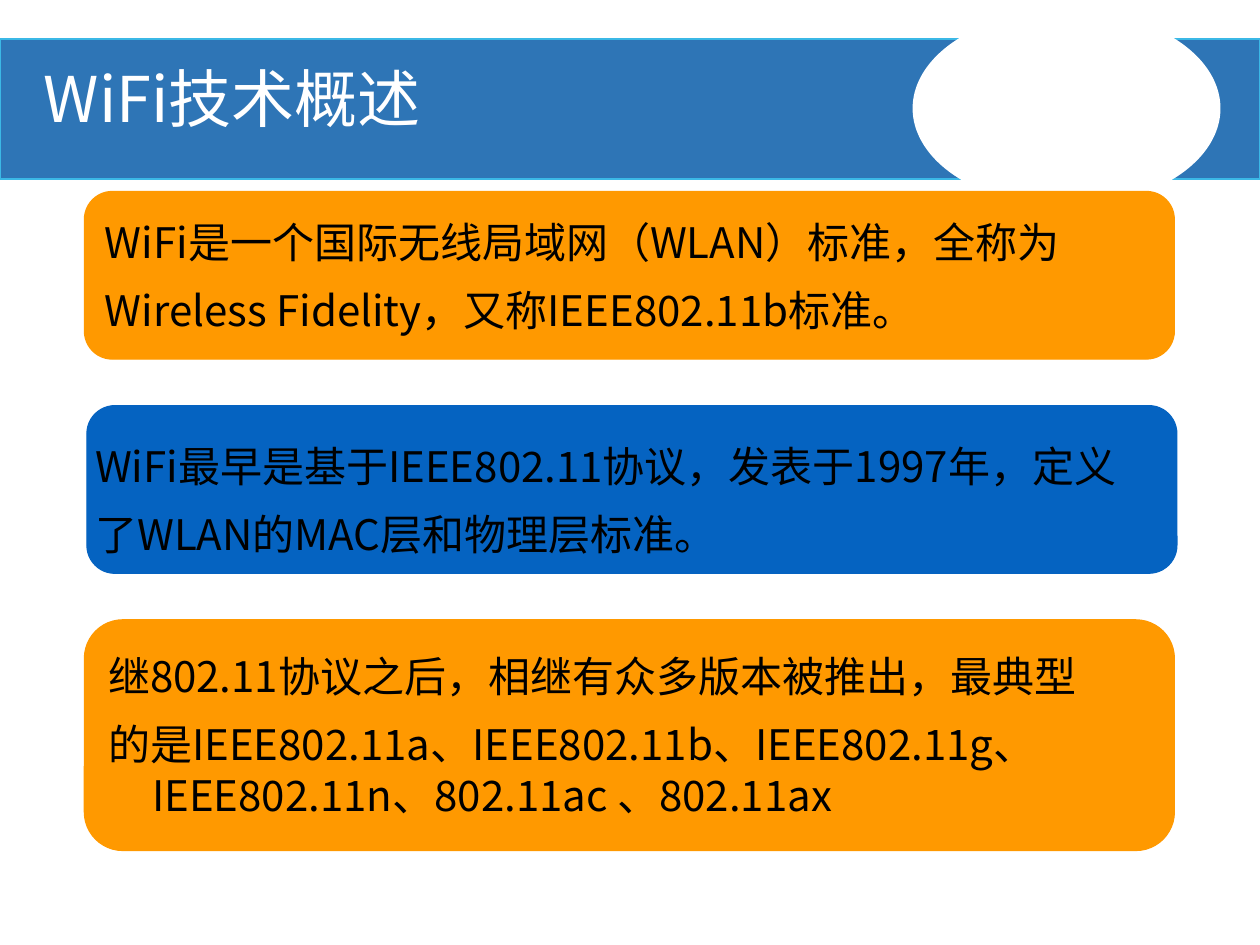
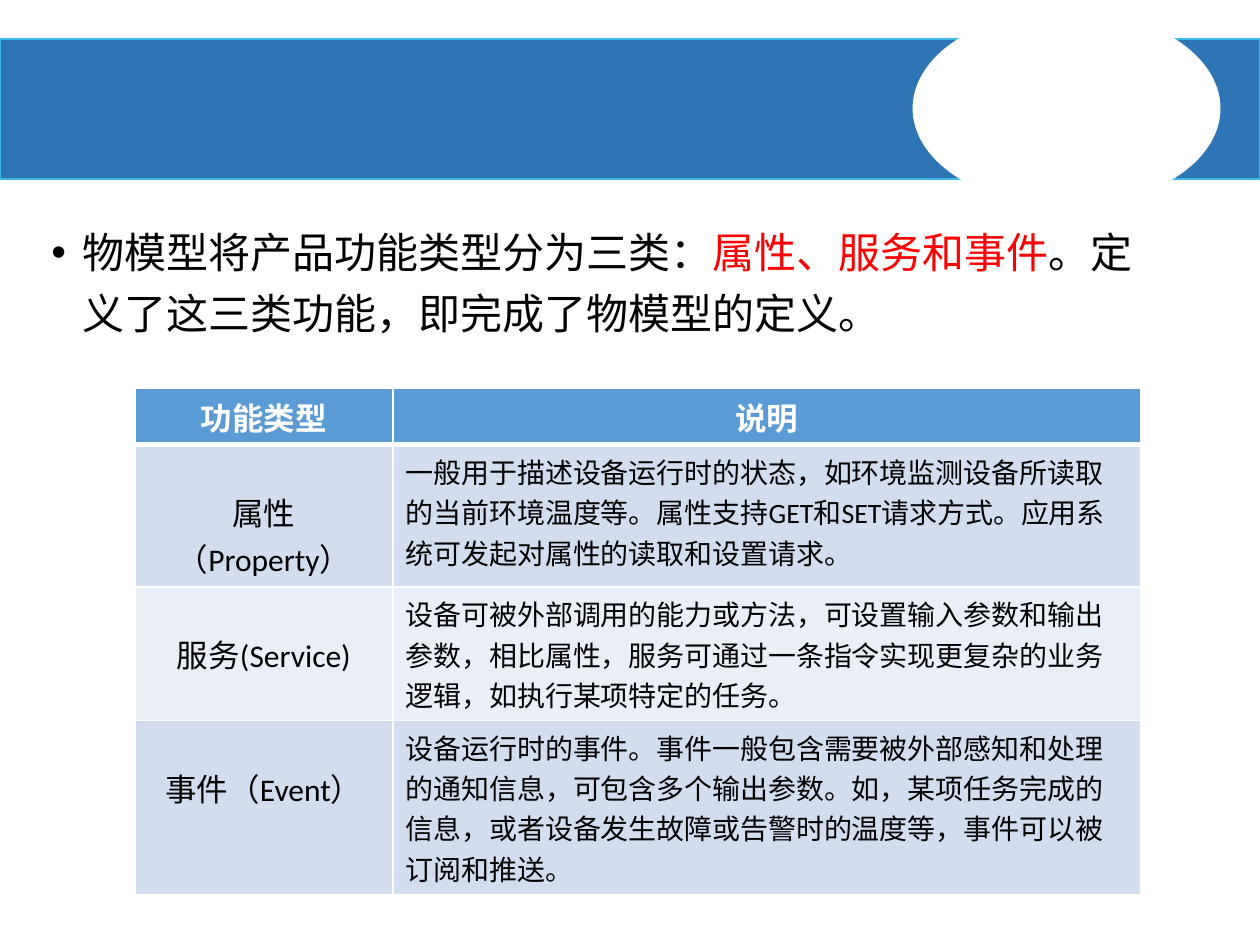
from lxml import etree
from pptx import Presentation
from pptx.dml.color import RGBColor
from pptx.enum.shapes import MSO_SHAPE
from pptx.enum.text import MSO_ANCHOR, PP_ALIGN
from pptx.oxml.ns import qn
from pptx.util import Inches, Pt

COLORS = {
    "band": "2E75B6", "band_line": "3BB8E6", "white": "FFFFFF", "black": "000000",
    "orange": "FF9900", "blue": "0563C1", "red": "FF0000",
    "header": "5B9BD5", "row_dark": "D2DEEF", "row_light": "EAEFF7",
}
CJK_FONT = "Noto Sans CJK SC"
TABLE_FONT = "Calibri"
CARD_GAP = 0.37

CARDS = [
    ("orange", 0.67, 1.33, ["WiFi是一个国际无线局域网（WLAN）标准，全称为",
                            "Wireless Fidelity，又称IEEE802.11b标准。"]),
    ("blue", 0.69, 1.33, ["WiFi最早是基于IEEE802.11协议，发表于1997年，定义",
                          "了WLAN的MAC层和物理层标准。"]),
    ("orange", 0.67, 1.83, ["继802.11协议之后，相继有众多版本被推出，最典型",
                            "的是IEEE802.11a、IEEE802.11b、IEEE802.11g、",
                            "IEEE802.11n、802.11ac 、802.11ax"]),
]
BODY_RUNS = [
    ("物模型将产品功能类型分为三类：", "black"),
    ("属性、服务和事件", "red"),
    ("。定义了这三类功能，即完成了物模型的定义。", "black"),
]
TABLE_HEADER = ("功能类型", "说明")
FUNCTION_TYPES = [
    ("属性（Property）",
     "一般用于描述设备运行时的状态，如环境监测设备所读取的当前环境温度等。"
     "属性支持GET和SET请求方式。应用系统可发起对属性的读取和设置请求。"),
    ("服务(Service)",
     "设备可被外部调用的能力或方法，可设置输入参数和输出参数，相比属性，"
     "服务可通过一条指令实现更复杂的业务逻辑，如执行某项特定的任务。"),
    ("事件（Event）",
     "设备运行时的事件。事件一般包含需要被外部感知和处理的通知信息，"
     "可包含多个输出参数。如，某项任务完成的信息，"
     "或者设备发生故障或告警时的温度等，事件可以被订阅和推送。"),
]
COLUMN_WIDTHS = (2.05, 5.93)
ROW_HEIGHTS = (0.45, 1.13, 1.06, 1.38)


def rgb(name):
    return RGBColor.from_string(COLORS[name])


def format_run(run, size, color="black", font=CJK_FONT, bold=False):
    run.font.size = Pt(size)
    run.font.name = font
    run.font.bold = bold
    run.font.color.rgb = rgb(color)
    east_asian = etree.SubElement(run._r.get_or_add_rPr(), qn("a:ea"))
    east_asian.set("typeface", CJK_FONT)


def add_filled_shape(slide, kind, box, fill, line, line_width):
    shape = slide.shapes.add_shape(kind, *map(Inches, box))
    shape.shadow.inherit = False
    shape.fill.solid()
    shape.fill.fore_color.rgb = rgb(fill)
    shape.line.color.rgb = rgb(line)
    shape.line.width = Pt(line_width)
    return shape


def add_text_frame(slide, box):
    text_frame = slide.shapes.add_textbox(*map(Inches, box)).text_frame
    text_frame.word_wrap = True
    return text_frame


def add_banded_slide(presentation):
    slide = presentation.slides.add_slide(presentation.slide_layouts[6])
    add_filled_shape(slide, MSO_SHAPE.RECTANGLE, (0, 0.31, 10, 1.11), "band", "band_line", 1)
    add_filled_shape(slide, MSO_SHAPE.OVAL, (7.25, 0.09, 2.43, 1.54), "white", "white", 1)
    return slide


def add_title(slide, text):
    paragraph = add_text_frame(slide, (0.25, 0.49, 6.57, 0.64)).paragraphs[0]
    paragraph.text = text
    paragraph.line_spacing = 0.9
    format_run(paragraph.runs[0], 36, "white")


def add_card(slide, color, left, top, height, lines):
    card = add_filled_shape(slide, MSO_SHAPE.ROUNDED_RECTANGLE,
                            (left, top, 8.65, height), color, color, 0.75)
    text_frame = card.text_frame
    text_frame.word_wrap = False
    text_frame.vertical_anchor = MSO_ANCHOR.MIDDLE
    if color == "blue":
        text_frame.vertical_anchor = MSO_ANCHOR.BOTTOM
        text_frame.margin_left = text_frame.margin_right = 0
    text_frame.text = "\n".join(lines)
    for index, paragraph in enumerate(text_frame.paragraphs):
        paragraph.alignment = PP_ALIGN.LEFT
        if index == 1:
            paragraph.space_before = Pt(10)
        elif index == 2:
            paragraph._p.get_or_add_pPr().set("marL", str(Inches(0.35)))
        format_run(paragraph.runs[0], 24)


def add_bullet_text(slide, box, runs):
    paragraph = add_text_frame(slide, box).paragraphs[0]
    properties = paragraph._p.get_or_add_pPr()
    properties.set("marL", str(Inches(0.25)))
    properties.set("indent", str(-Inches(0.25)))
    etree.SubElement(properties, qn("a:buFont")).set("typeface", "Arial")
    etree.SubElement(properties, qn("a:buChar")).set("char", "•")
    paragraph.line_spacing = 1.2
    for text, color in runs:
        run = paragraph.add_run()
        run.text = text
        format_run(run, 24, color)


def set_borders(cell, widths):
    """Draw white borders; widths maps the sides L, R, T, B to points."""
    properties = cell._tc.get_or_add_tcPr()
    for side, width in widths.items():
        line = etree.SubElement(properties, qn(f"a:ln{side}"), w=str(Pt(width)))
        solid = etree.SubElement(line, qn("a:solidFill"))
        etree.SubElement(solid, qn("a:srgbClr"), val=COLORS["white"])


def fill_cell(cell, text, fill, size, color="black", bold=False, centered=True):
    cell.fill.solid()
    cell.fill.fore_color.rgb = rgb(fill)
    paragraph = cell.text_frame.paragraphs[0]
    paragraph.text = text
    paragraph.alignment = PP_ALIGN.CENTER if centered else PP_ALIGN.LEFT
    format_run(paragraph.runs[0], size, color, TABLE_FONT, bold)


def add_function_table(slide, left, top):
    frame = slide.shapes.add_table(
        len(ROW_HEIGHTS), len(COLUMN_WIDTHS), Inches(left), Inches(top),
        Inches(sum(COLUMN_WIDTHS)), Inches(sum(ROW_HEIGHTS)))
    table = frame.table
    for column, width in zip(table.columns, COLUMN_WIDTHS):
        column.width = Inches(width)
    for index, (row, height) in enumerate(zip(table.rows, ROW_HEIGHTS)):
        row.height = Inches(height)
        for cell in row.cells:
            set_borders(cell, {"L": 1, "R": 1, "T": 3 if index == 1 else 1,
                               "B": 3 if index == 0 else 1})
    for column, heading in enumerate(TABLE_HEADER):
        fill_cell(table.cell(0, column), heading, "header", 18, "white", bold=True)
    for row, (name, description) in enumerate(FUNCTION_TYPES, start=1):
        fill = "row_dark" if row % 2 else "row_light"
        name_cell = table.cell(row, 0)
        name_cell.margin_top = Inches(0.35)
        fill_cell(name_cell, name, fill, 18)
        fill_cell(table.cell(row, 1), description, fill, 16, centered=False)


def main():
    presentation = Presentation()
    presentation.slide_width = Inches(10)
    presentation.slide_height = Inches(7.5)

    overview = add_banded_slide(presentation)
    add_title(overview, "WiFi技术概述")
    top = 1.52
    for color, left, height, lines in CARDS:
        add_card(overview, color, left, top, height, lines)
        top += height + CARD_GAP

    thing_model = add_banded_slide(presentation)
    add_bullet_text(thing_model, (0.31, 1.67, 9, 1.2), BODY_RUNS)
    add_function_table(thing_model, 1.07, 3.08)

    presentation.save("out.pptx")


if __name__ == "__main__":
    main()
